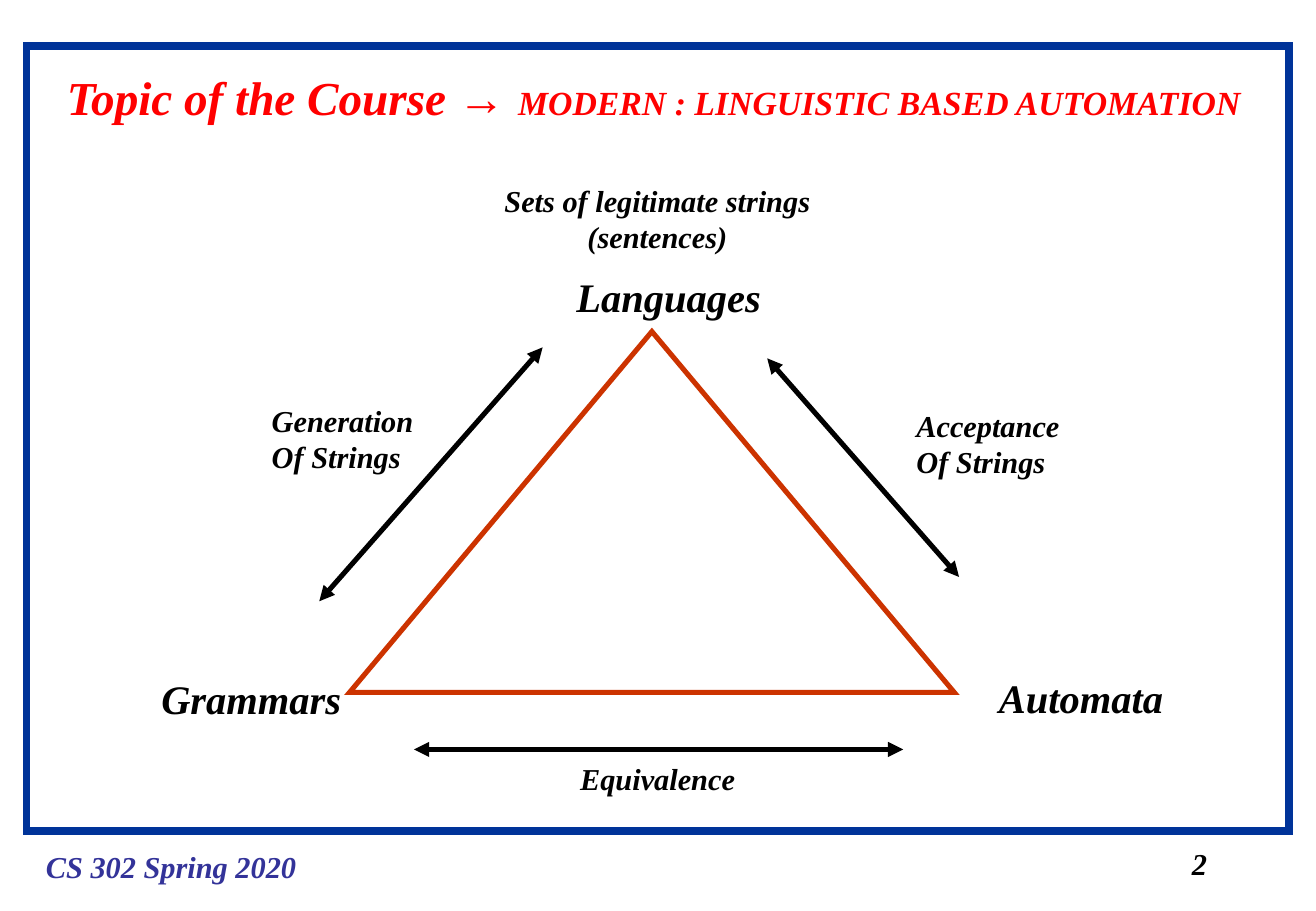
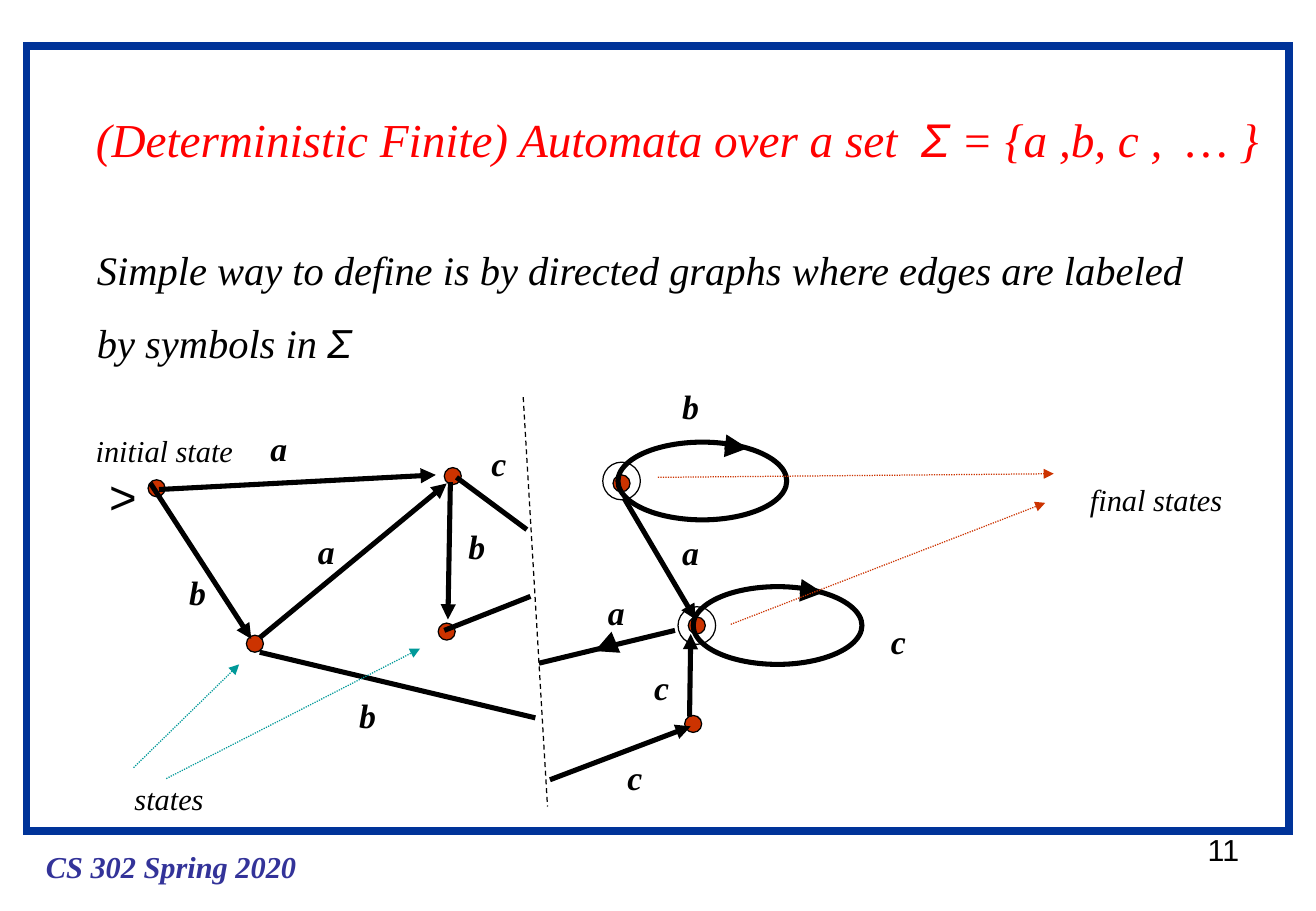
from lxml import etree
from pptx import Presentation
from pptx.dml.color import RGBColor
from pptx.enum.dml import MSO_LINE
from pptx.enum.shapes import MSO_CONNECTOR, MSO_SHAPE
from pptx.enum.text import MSO_ANCHOR, MSO_AUTO_SIZE, PP_ALIGN
from pptx.oxml.ns import qn
from pptx.util import Inches, Pt

COLORS = {"frame": "003399", "footer": "333399", "title": "FF0000", "ink": "000000",
          "accent": "CC3300", "pointer": "009999"}
SERIF, SANS = "Times New Roman", "Arial"
FOOTER = "CS 302 Spring 2020"

# Title runs: text, font, size
COURSE_TITLE = [("Topic of the Course ", SERIF, 28), ("→ ", SANS, 28),
                ("MODERN : LINGUISTIC BASED AUTOMATION", SERIF, 20)]
AUTOMATA_TITLE = [("(Deterministic Finite) Automata over a set  ", SERIF, 28),
                  ("Σ", SANS, 28), (" = {a ,b, c ,  … }", SERIF, 28)]
DEFINITION = [("Simple way to define is by directed graphs where edges are labeled "
               "by symbols in ", SERIF, 24), ("Σ", SANS, 24)]

# Text, left, top, width, size
CORNERS = [("Languages", 4.65, 2.19, 1.72, 24), ("Automata", 8.13, 5.49, 1.55, 24),
           ("Grammars", 1.23, 5.5, 1.68, 24)]
RELATIONS = [("Generation\nOf Strings", 2.14, 3.26, 1.4, 18),
             ("Acceptance\nOf Strings", 7.45, 3.3, 1.79, 18),
             ("Equivalence", 4.68, 6.21, 1.48, 18)]
RELATION_ARROWS = [((2.63, 4.95), (4.47, 2.86)), ((6.32, 2.95), (7.9, 4.75)),
                   ((3.41, 6.17), (7.44, 6.17))]

# Centres of the graph's states
STATES = [(1.29, 4.02), (5.12, 3.98), (3.68, 5.2), (5.74, 5.15), (2.1, 5.3),
          (5.71, 5.96), (3.73, 3.92)]
FINAL_RINGS = [(5.12, 3.96), (5.74, 5.15)]
STATE_SIZE, RING_SIZE = 0.14, 0.31
LOOP_WIDTH, LOOP_HEIGHT = 1.39, 0.64

ARROW_EDGES = [((1.31, 4.03), (3.59, 3.91)), ((2.14, 5.25), (3.68, 3.98)),
               ((1.24, 3.98), (2.07, 5.26)), ((4.53, 6.42), (5.69, 5.98)),
               ((3.71, 3.97), (3.69, 5.1)), ((5.14, 4.1), (5.73, 5.1)),
               ((5.68, 5.9), (5.69, 5.22))]
PLAIN_EDGES = [((3.66, 5.19), (4.37, 4.91)), ((3.76, 3.93), (4.34, 4.36)),
               ((2.14, 5.37), (4.41, 5.91)), ((5.56, 5.19), (4.44, 5.46))]
MID_EDGE_ARROW = ((5.02, 5.31), (4.9, 5.36))
DIVIDER = ((4.31, 3.27), (4.51, 6.64))
EDGE_LABELS = {"a": [(2.13, 3.47), (2.52, 4.32), (4.91, 4.82), (5.52, 4.33)],
               "b": [(1.46, 4.66), (2.86, 5.67), (3.76, 4.28), (5.52, 3.13)],
               "c": [(3.95, 3.6), (5.07, 6.18), (7.24, 5.06), (5.29, 5.44)]}
NOTES = [("initial state", 0.69, 3.51, 1.33, 18), ("final states", 8.88, 3.91, 1.29, 18),
         ("states", 1.01, 6.37, 0.77, 18)]
POINTERS = {"accent": [((5.42, 3.93), (8.68, 3.9)), ((6.02, 5.14), (8.61, 4.14))],
            "pointer": [((1.1, 6.32), (1.97, 5.47)), ((1.37, 6.41), (3.46, 5.34))]}


def rgb(name):
    return RGBColor.from_string(COLORS[name])


def format_runs(text_frame, color, bold, italic, runs):
    for paragraph in text_frame.paragraphs:
        for run, (_, font, size) in zip(paragraph.runs, runs):
            run.font.name, run.font.size = font, Pt(size)
            run.font.bold, run.font.italic = bold, italic
            run.font.color.rgb = rgb(color)


def add_text(slide, text, left, top, width, size, color="ink", font=SERIF, bold=True,
             italic=True, wrap=False, align=PP_ALIGN.LEFT, lines=None, spacing=None,
             shape=None):
    """Write a string, or a list of (text, font, size) runs, into a box or placeholder."""
    if isinstance(text, str):
        runs = [(text, font, size)]
        lines = lines or text.count("\n") + 1
    else:
        runs = text
    place = [Inches(value) for value in
             (left, top, width, round((lines or 1) * size / 60 + 0.1, 2))]
    if shape is None:
        shape = slide.shapes.add_textbox(*place)
    else:
        shape.left, shape.top, shape.width, shape.height = place
    frame = shape.text_frame
    frame.word_wrap = wrap
    frame.auto_size = MSO_AUTO_SIZE.SHAPE_TO_FIT_TEXT
    frame.vertical_anchor = MSO_ANCHOR.TOP
    if isinstance(text, str):
        frame.text = text
    else:
        for run_text, _, _ in runs:
            frame.paragraphs[0].add_run().text = run_text
    for paragraph in frame.paragraphs:
        paragraph.alignment = align
        if spacing:
            paragraph.line_spacing = spacing
    format_runs(frame, color, bold, italic, runs)


def add_outline(slide, kind, left, top, width, height, color, weight, fill=None):
    """Add a shape with square-cornered outline, unfilled unless a fill is named."""
    shape = slide.shapes.add_shape(kind, Inches(left), Inches(top),
                                   Inches(width), Inches(height))
    shape.shadow.inherit = False
    if fill:
        shape.fill.solid()
        shape.fill.fore_color.rgb = rgb(fill)
    else:
        shape.fill.background()
    shape.line.color.rgb = rgb(color)
    shape.line.width = Pt(weight)
    outline = shape._element.spPr.find(qn("a:ln"))
    etree.SubElement(outline, qn("a:miter"), lim="800000")


def add_circle(slide, center, size, fill=None):
    x, y = center
    add_outline(slide, MSO_SHAPE.OVAL, x - size / 2, y - size / 2, size, size,
                "ink", 0.75, fill)


def add_line(slide, ends, color="ink", weight=3, dash=None, arrows=()):
    """Draw a line; arrows lists the ends with a head: headEnd, tailEnd."""
    (x1, y1), (x2, y2) = ends
    connector = slide.shapes.add_connector(MSO_CONNECTOR.STRAIGHT, Inches(x1), Inches(y1),
                                           Inches(x2), Inches(y2))
    connector.line.color.rgb = rgb(color)
    connector.line.width = Pt(weight)
    if dash:
        connector.line.dash_style = dash
    properties = connector._element.spPr
    outline = properties.find(qn("a:ln"))
    for end in arrows:
        etree.SubElement(outline, qn(f"a:{end}"), type="triangle")
    etree.SubElement(properties, qn("a:effectLst"))


def add_base_slide(presentation, title, left, top, width, bold):
    slide = presentation.slides.add_slide(presentation.slide_layouts[5])
    add_outline(slide, MSO_SHAPE.RECTANGLE, 0.22, 0.38, 10.4, 6.46, "frame", 4.5)
    add_text(slide, FOOTER, 0.28, 6.93, 2.26, 18, "footer")
    add_text(slide, title, left, top, width, 28, "title", bold=bold,
             shape=slide.shapes.title)
    return slide


def build_course_slide(presentation):
    slide = add_base_slide(presentation, COURSE_TITLE, 0.45, 0.51, 10, True)
    add_text(slide, "2", 9.72, 6.91, 0.32, 18)
    add_outline(slide, MSO_SHAPE.ISOSCELES_TRIANGLE, 2.88, 2.73, 4.98, 2.97, "accent", 3)
    for label in CORNERS + RELATIONS:
        add_text(slide, *label)
    add_text(slide, "Sets of legitimate strings (sentences)", 3.74, 1.45, 3.35, 18,
             wrap=True, align=PP_ALIGN.CENTER, lines=2)
    for ends in RELATION_ARROWS:
        add_line(slide, ends, arrows=("headEnd", "tailEnd"))


def add_graph(slide):
    for center in STATES:
        add_circle(slide, center, STATE_SIZE, "accent")
    for ends in ARROW_EDGES:
        add_line(slide, ends, arrows=("tailEnd",))
    for ends in PLAIN_EDGES:
        add_line(slide, ends)
    add_line(slide, DIVIDER, weight=0.75, dash=MSO_LINE.DASH)
    add_line(slide, MID_EDGE_ARROW, weight=4.5, arrows=("tailEnd",))
    for x, y in FINAL_RINGS:
        add_circle(slide, (x, y), RING_SIZE)
        left, top = x - 0.03, y - LOOP_HEIGHT / 2
        add_outline(slide, MSO_SHAPE.OVAL, left, top, LOOP_WIDTH, LOOP_HEIGHT, "ink", 3)
        add_line(slide, ((left + 0.88, top + 0.03), (left + 1.07, top + 0.05)),
                 weight=4.5, arrows=("tailEnd",))
    for symbol, places in EDGE_LABELS.items():
        for left, top in places:
            add_text(slide, symbol, left, top, 0.32 if symbol == "c" else 0.34, 20)


def build_automata_slide(presentation):
    slide = add_base_slide(presentation, AUTOMATA_TITLE, 0.69, 0.86, 9.88, False)
    add_text(slide, "11", 9.85, 6.79, 0.48, 18, font=SANS, bold=False, italic=False)
    add_text(slide, DEFINITION, 0.7, 1.77, 9.2, 24, bold=False, wrap=True, lines=3,
             spacing=1.5)
    add_text(slide, ">", 0.8, 3.8, 0.42, 28, font=SANS, bold=False, italic=False)
    for note in NOTES:
        add_text(slide, *note, bold=False)
    add_graph(slide)
    for color, pointers in POINTERS.items():
        for ends in pointers:
            add_line(slide, ends, color, 0.75, MSO_LINE.ROUND_DOT, ("tailEnd",))


def main():
    presentation = Presentation()
    presentation.slide_width, presentation.slide_height = Inches(10.84), Inches(7.5)
    build_course_slide(presentation)
    build_automata_slide(presentation)
    presentation.save("out.pptx")


if __name__ == "__main__":
    main()
